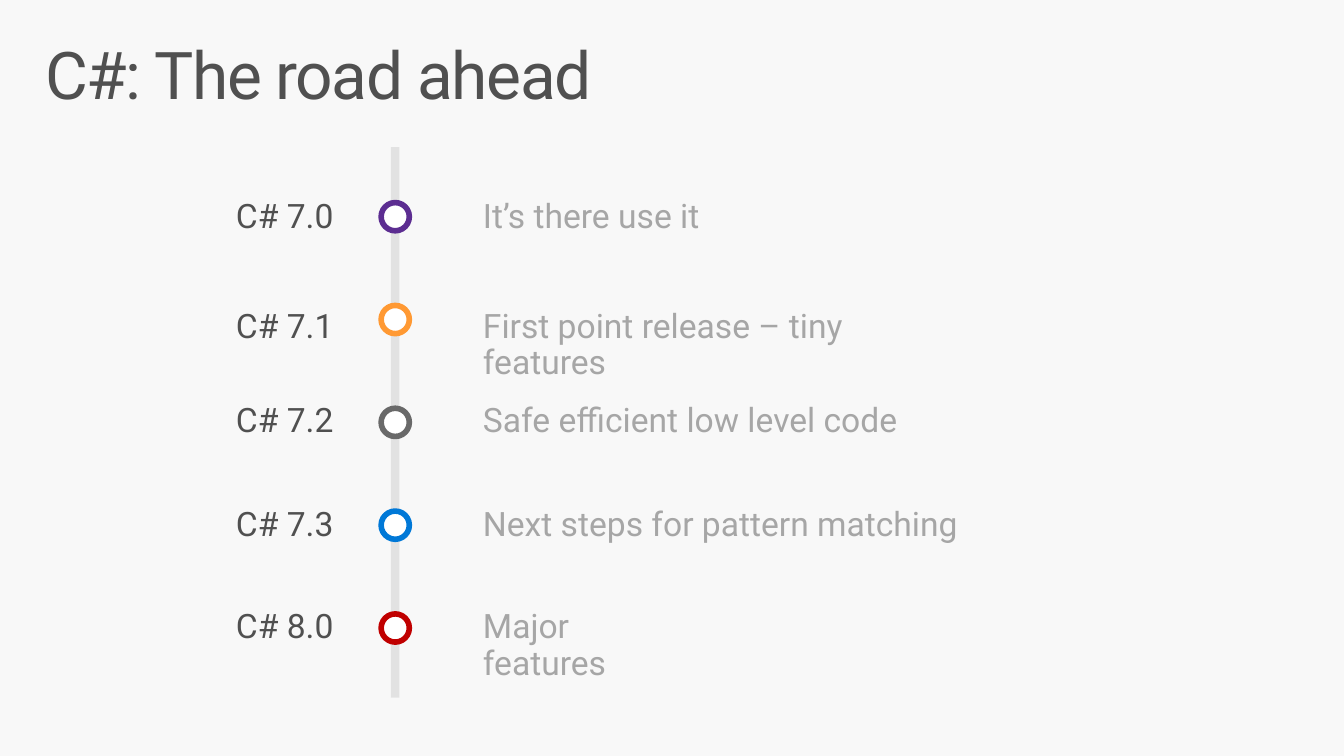
"""Build a timeline slide of C# releases."""
from pptx import Presentation, util as u
from pptx.dml.color import RGBColor
from pptx.enum import shapes, text
from pptx.oxml.ns import qn
from lxml import etree


def rgb(value):
    return RGBColor.from_string(value)


def write(shape, content, size, color, margins, wrap=True, space_after=0, spacing=0,
          auto_size=text.MSO_AUTO_SIZE.NONE):
    frame = shape.text_frame
    frame.word_wrap = wrap
    frame.auto_size = auto_size
    frame.vertical_anchor = text.MSO_ANCHOR.TOP
    frame.margin_left = frame.margin_right = u.Inches(margins[0])
    frame.margin_top = frame.margin_bottom = u.Inches(margins[1])
    paragraph = frame.paragraphs[0]
    paragraph.text = content
    paragraph.alignment = text.PP_ALIGN.LEFT
    paragraph.line_spacing = 0.9
    paragraph.space_after = u.Pt(space_after)
    for run in paragraph.runs:
        run.font.name = "Roboto"
        run.font.size = u.Pt(size)
        run.font.color.rgb = rgb(color)
        if spacing:
            run.font._element.set("spc", str(spacing * 100))


presentation = Presentation()
presentation.slide_width = u.Inches(13.33)
presentation.slide_height = u.Inches(7.5)
slide = presentation.slides.add_slide(presentation.slide_layouts[5])
slide.background.fill.solid()
slide.background.fill.fore_color.rgb = rgb("F8F8F8")

title = slide.shapes.title
title.left, title.top = u.Inches(0.29), u.Inches(0.32)
title.width, title.height = u.Inches(6.37), u.Inches(0.98)
write(title, "C#: The road ahead", 47, "505050", (0.16, 0.1), spacing=-1)

road = slide.shapes.add_connector(
    shapes.MSO_CONNECTOR.STRAIGHT,
    u.Inches(3.92), u.Inches(1.46), u.Inches(3.92), u.Inches(6.92))
road.line.width = u.Pt(6)
road.line.color.rgb = rgb("CDCDCD")
road_color = road.line._ln.find(".//" + qn("a:srgbClr"))
etree.SubElement(road_color, qn("a:alpha")).set("val", "50000")
etree.SubElement(road._element.spPr, qn("a:effectLst"))

releases = [
    ("C# 7.0", "It’s there use it", "5C2D91", 1.82, 2.56),
    ("C# 7.1", "First point release – tiny\vfeatures", "FF9933", 2.91, 5.22),
    ("C# 7.2", "Safe efficient low level code", "696969", 3.84, 4.52),
    ("C# 7.3", "Next steps for pattern matching", "0078D7", 4.87, 5.12),
    ("C# 8.0", "Major\vfeatures", "C00000", 5.89, 2.56),
]
for index, (version, summary, color, top, summary_width) in enumerate(releases):
    marker = slide.shapes.add_shape(
        shapes.MSO_SHAPE.FLOWCHART_CONNECTOR,
        u.Inches(3.78), u.Inches(2.01 + 1.02 * index), u.Inches(0.28), u.Inches(0.28))
    marker.shadow.inherit = False
    marker.fill.solid()
    marker.fill.fore_color.rgb = rgb("FFFFFF")
    marker.line.color.rgb = rgb(color)
    marker.line.width = u.Pt(4)

    columns = [(version, 2.14, 1.5, "505050", True),
               (summary, 4.59, summary_width, "A6A6A6", "\v" in summary)]
    for content, left, width, text_color, wrap in columns:
        box = slide.shapes.add_textbox(
            u.Inches(left), u.Inches(top), u.Inches(width), u.Inches(0.69))
        write(box, content, 24, text_color, (0.2, 0.16), wrap=wrap, space_after=6,
              auto_size=text.MSO_AUTO_SIZE.SHAPE_TO_FIT_TEXT)

presentation.save("out.pptx")
